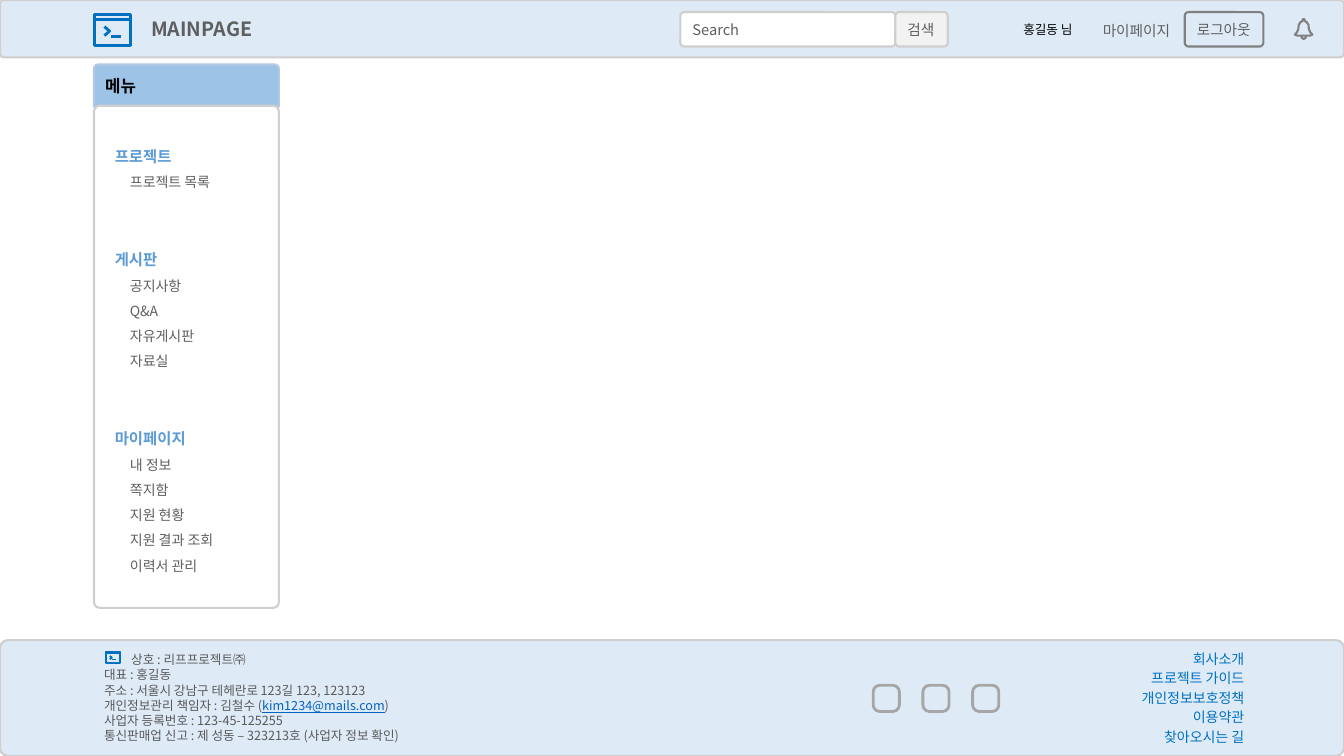
import pptx
import pptx.util
import pptx.dml.color
import pptx.enum.shapes
import pptx.enum.text
import lxml.etree

FONT = "Noto Sans CJK KR"
PAGE = (0, 0, 13.33, 7.5)
COLORS = {
    "pale": "DEEBF7", "border": "D0CECE", "white": "FFFFFF", "button": "F2F2F2",
    "menu": "9DC3E6", "menu_line": "B4C7E7", "heading": "5B9BD5", "text": "5F5F5F",
    "company": "595959", "black": "000000", "blue": "0070C0", "mail": "0563C1",
    "dark_line": "808080", "social": "A6A6A6",
}
MENU = [
    ("프로젝트", ["프로젝트 목록"]),
    ("게시판", ["공지사항", "Q&A", "자유게시판", "자료실"]),
    ("마이페이지", ["내 정보", "쪽지함", "지원 현황", "지원 결과 조회", "이력서 관리"]),
]
COMPANY = [
    [("상호 : 리프프로젝트㈜", "company")],
    [("대표 : 홍길동", "company")],
    [("주소 : 서울시 강남구 테헤란로 123길 123, 123123", "company")],
    [("개인정보관리 책임자 : 김철수 (", "company"), ("kim1234@mails.com", "mail"), (")", "company")],
    [("사업자 등록번호 : 123-45-125255", "company")],
    [("통신판매업 신고 : 제 성동 – 323213호 (사업자 정보 확인)", "company")],
]
LINKS = ["회사소개", "프로젝트 가이드", "개인정보보호정책", "이용약관", "찾아오시는 길"]
BELL = [(0, 78), (12, 66), (20, 50), (22, 30), (32, 16), (44, 10), (44, 3), (50, 0), (56, 3),
        (56, 10), (68, 16), (78, 30), (80, 50), (88, 66), (100, 78), (85, 83), (15, 83)]
CLAPPER = [(36, 85), (40, 95), (50, 100), (60, 95), (64, 85)]


def rgb(name):
    """Return the palette colour with this name."""
    return pptx.dml.color.RGBColor.from_string(COLORS[name])


def within(box, x, y, w, h):
    """Return the part of a box given in percent of its size."""
    left, top, width, height = box
    return (left + width * x / 100, top + height * y / 100, width * w / 100, height * h / 100)


def emu(box):
    """Convert a box from inches to slide units."""
    return [pptx.util.Inches(v) for v in box]


def frame(sp, inset=(0.1, 0.05, 0.1, 0.05), middle=False, wrap=True):
    """Set the insets, anchor and wrapping of a shape's text."""
    tf = sp.text_frame
    tf.margin_left, tf.margin_top, tf.margin_right, tf.margin_bottom = emu(inset)
    anchor = pptx.enum.text.MSO_ANCHOR
    tf.vertical_anchor = anchor.MIDDLE if middle else anchor.TOP
    tf.word_wrap = wrap
    return tf


def write(tf, runs, color="text", size=10, bold=False, align="LEFT", before=0, spacing=None, indent=0):
    """Add one paragraph of text, or of (text, colour) runs, in the given format."""
    p = tf.paragraphs[0]
    if p.runs:
        p = tf.add_paragraph()
        p.space_before = pptx.util.Pt(before)
    p.alignment = getattr(pptx.enum.text.PP_ALIGN, align)
    if spacing:
        p.line_spacing = spacing
    if indent:
        p._p.get_or_add_pPr().set("marL", str(pptx.util.Inches(indent)))
    for words, shade in [(runs, color)] if isinstance(runs, str) else runs:
        r = p.add_run()
        r.text = words
        r.font.size = pptx.util.Pt(size)
        r.font.bold = bold
        r.font.underline = shade == "mail"
        r.font.color.rgb = rgb(shade)
        r.font.name = FONT
        latin = r.font._element.find("{*}latin")
        ea = lxml.etree.Element(latin.tag.replace("latin", "ea"), typeface=FONT)
        latin.addnext(ea)


def style(sp, fill, line, width):
    """Set a shape's fill and outline; None means neither is drawn."""
    sp.shadow.inherit = False
    if fill:
        sp.fill.solid()
        sp.fill.fore_color.rgb = rgb(fill)
    else:
        sp.fill.background()
    if line:
        sp.line.color.rgb = rgb(line)
        sp.line.width = pptx.util.Pt(width)
    else:
        sp.line.fill.background()


def panel(s, box, fill, line, corner, kind="ROUNDED_RECTANGLE", width=1.5):
    """Add a rounded panel."""
    sp = s.shapes.add_shape(getattr(pptx.enum.shapes.MSO_SHAPE, kind), *emu(box))
    sp.adjustments[0] = corner
    style(sp, fill, line, width)
    return sp


def outline(s, box, points, color, width, close=False):
    """Draw a line through points given in percent of the box."""
    spots = [emu(within(box, x, y, 0, 0)[:2]) for x, y in points]
    builder = s.shapes.build_freeform(*spots[0])
    builder.add_line_segments(spots[1:], close=close)
    style(builder.convert_to_shape(), None, color, width)


def terminal_icon(s, box, width):
    """Draw a window with a command prompt."""
    outline(s, box, [(2, 2), (98, 2), (98, 98), (2, 98)], "blue", width, True)
    for points in ([(2, 17), (98, 17)], [(28, 39), (42, 53), (28, 67)], [(46, 69), (72, 69)]):
        outline(s, box, points, "blue", width)


def header(s, box):
    """Build the bar with the title, search field and account controls."""
    panel(s, box, "pale", "border", 0.07)
    title = s.shapes.title
    s.shapes._spTree.append(title._element)
    title.left, title.top, title.width, title.height = emu(within(box, 11.25, 0, 12, 100))
    write(frame(title, (0, 0.05, 0, 0.05), True), "MAINPAGE", size=14, bold=True)
    terminal_icon(s, within(box, 7, 24.5, 2.75, 56), 2)

    fields = [
        ("Search", 50.62, 21, 16, "white", "border"),
        ("검색", 66.62, 21, 3.9, "button", "border"),
        ("마이페이지", 81.15, 23, 6.85, "pale", None),
        ("로그아웃", 88.15, 21, 5.85, "pale", "dark_line"),
    ]
    for label, x, y, w, fill, line in fields:
        sp = panel(s, within(box, x, y, w, 60), fill, line, 0.11)
        tf = frame(sp, (0.11, 0.07, 0.1, 0.07), True, label == "Search")
        write(tf, label, size=10.5)

    user = s.shapes.add_textbox(*emu(within(box, 75.4, 30, 6.45, 44)))
    write(frame(user, middle=True), "홍길동 님", "black", 9)
    bell = within(box, 96.35, 33, 1.3, 35)
    outline(s, bell, BELL, "dark_line", 1.5, True)
    outline(s, bell, CLAPPER, "dark_line", 1.5)


def side_menu(s, box):
    """Build the menu heading and its list of sections."""
    top = panel(s, within(box, 0, 0, 100, 7.8), "menu", "menu_line", 0.1, "ROUND_2_SAME_RECTANGLE")
    write(frame(top, (0.1, 0.1, 0.1, 0.1)), "메뉴", "black", 12, True)
    body = panel(s, within(box, 0, 7.6, 100, 92.4), "white", "border", 0.03)
    tf = frame(body, (0.19, 0.3, 0.1, 0.08))
    for heading, items in MENU:
        write(tf, heading, "heading", 11, True, before=36, spacing=1.5)
        for item in items:
            write(tf, item, spacing=1.5, indent=0.15)


def footer(s, box):
    """Build the bar with company details, social buttons and links."""
    panel(s, box, "pale", "border", 0.07)
    company = s.shapes.add_textbox(*emu(within(box, 7, 5.2, 35.25, 89.6)))
    tf = frame(company, (0.1, 0.06, 0.1, 0.05))
    for i, runs in enumerate(COMPANY):
        write(tf, runs, size=9, indent=0 if i else 0.27)
    terminal_icon(s, within(box, 7.88, 9.6, 1.05, 10.4), 1.25)

    for i in range(3):
        panel(s, within(box, 64.97 + 3.7 * i, 39, 1.95, 22.6), None, "social", 0.25, width=2)

    links = s.shapes.add_textbox(*emu(within(box, 58.06, 4.3, 35.25, 91)))
    tf = frame(links)
    for link in LINKS:
        write(tf, link, "blue", align="RIGHT", before=2)


def main():
    """Build the main page slide and save it."""
    prs = pptx.Presentation()
    prs.slide_width, prs.slide_height = emu(PAGE[2:])
    s = prs.slides.add_slide(prs.slide_layouts[5])
    footer(s, within(PAGE, 0, 84.67, 100, 15.33))
    side_menu(s, within(PAGE, 7, 8.53, 13.75, 71.87))
    header(s, within(PAGE, 0, 0, 100, 7.6))
    prs.save("out.pptx")


if __name__ == "__main__":
    main()
